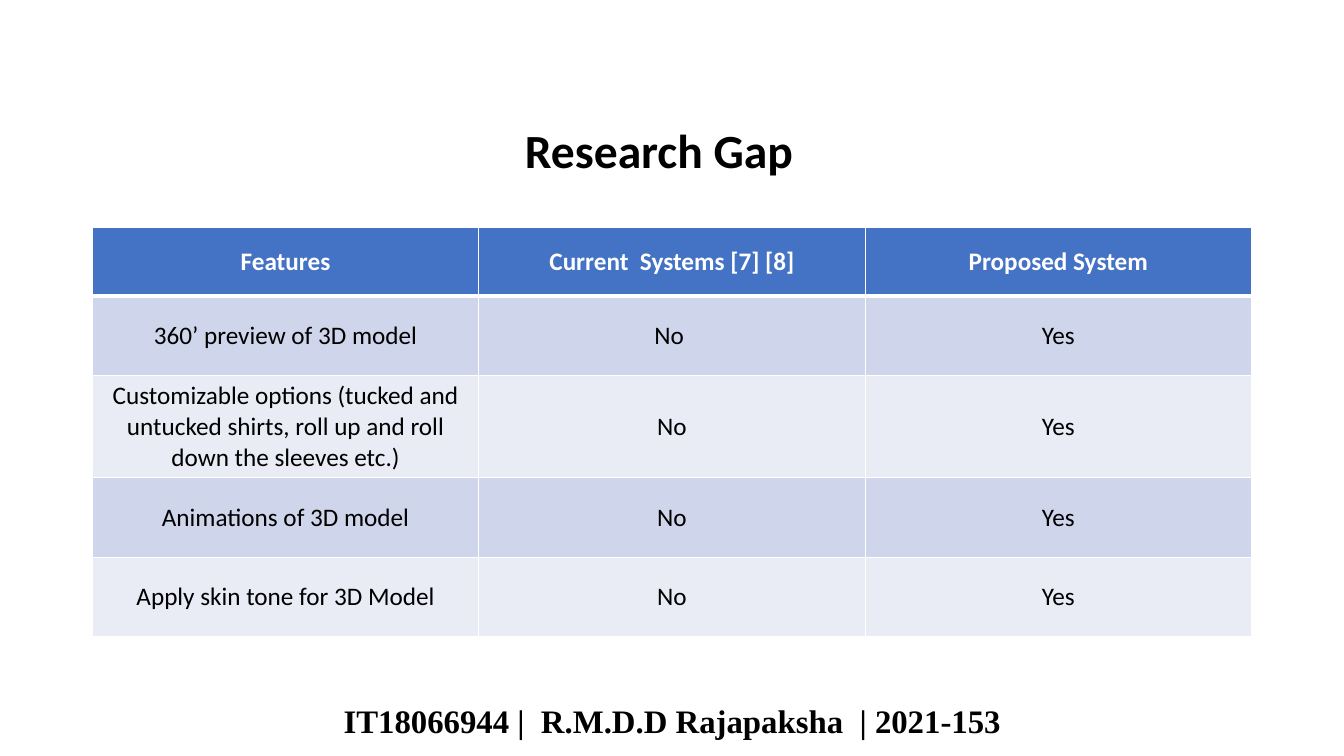
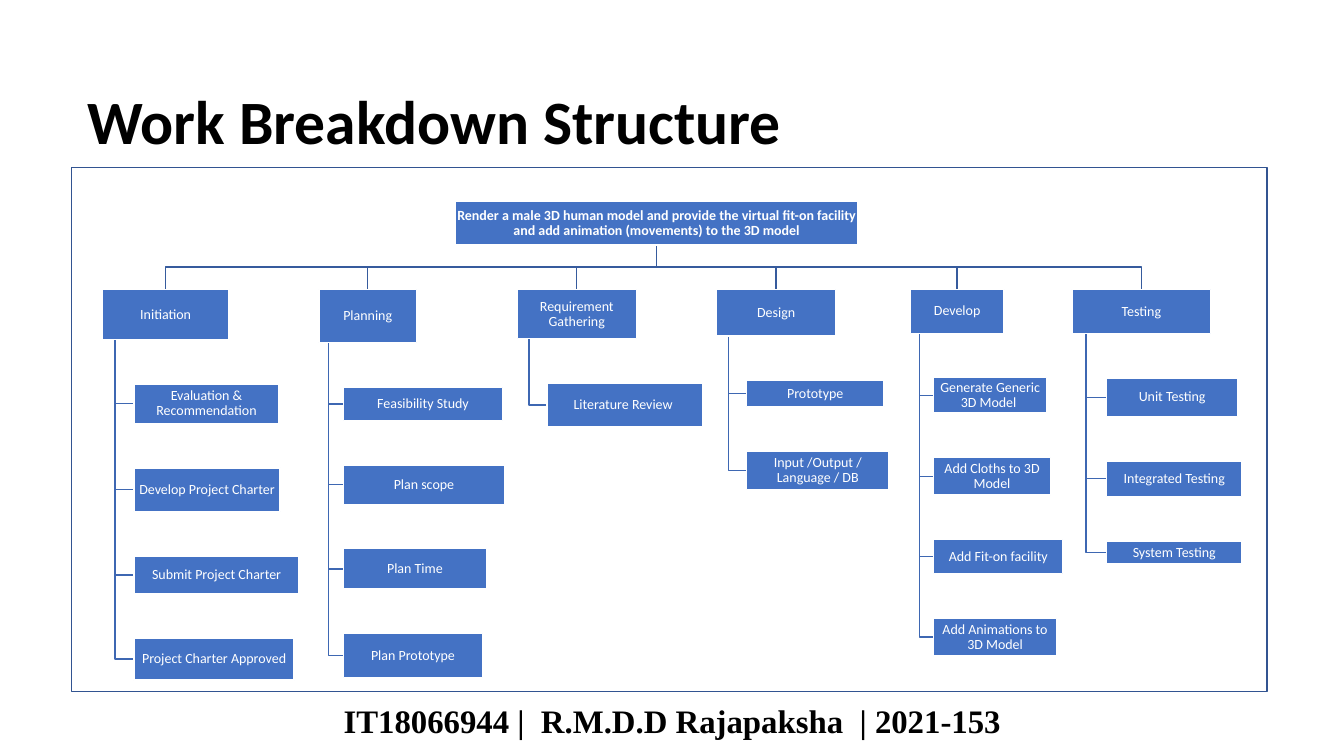
from pptx import Presentation
from pptx.dml.color import RGBColor
from pptx.enum.shapes import MSO_SHAPE
from pptx.enum.text import MSO_ANCHOR, PP_ALIGN
from pptx.oxml import parse_xml
from pptx.oxml.ns import nsdecls
from pptx.util import Pt

BLACK = RGBColor(0x00, 0x00, 0x00)
WHITE = RGBColor(0xFF, 0xFF, 0xFF)
BLUE = RGBColor(0x44, 0x72, 0xC4)
NAVY = RGBColor(0x32, 0x54, 0x91)
TRUNK = RGBColor(0x36, 0x5B, 0x9D)
TWIG = RGBColor(0x3E, 0x67, 0xB2)
BANDS = [RGBColor(0xCF, 0xD5, 0xEA), RGBColor(0xE9, 0xEB, 0xF5)]

WIDE, HIGH = 960, 540
GAP = 31.7  # vertical gap between levels and boxes of the tree
FOOT = "IT18066944 |  R.M.D.D Rajapaksha  | 2021-153"

ROWS = [
    ("Features", "Current  Systems [7] [8]", "Proposed System"),
    ("360’ preview of 3D model", "No ", "Yes"),
    ("Customizable options (tucked and untucked shirts, roll up and roll "
     "down the sleeves etc.)", "No", "Yes"),
    ("Animations of 3D model", "No", "Yes"),
    ("Apply skin tone for 3D Model", "No", "Yes"),
]
TALL = [48.8, 56.9, 73, 56.9, 56.9]

ROOT = ("Render a male 3D human model and provide the virtual fit-on facility "
        "and add animation (movements) to the 3D model")
# Each branch: left offset, head, then its tasks; a box is text, width, height
TREE = [
    (21.9, ("Initiation", 90.7, 36), [
        ("Evaluation & Recommendation", 103.7, 28.1),
        ("Develop Project Charter", 104.4, 31.4),
        ("Submit Project Charter", 118.1, 26.6),
        ("Project Charter Approved", 114.5, 30.2)]),
    (176.7, ("Planning", 69.8, 38.2), [
        ("Feasibility Study", 113.8, 23.8),
        ("Plan scope", 115.2, 28.1),
        ("Plan Time", 102.2, 28.8),
        ("Plan Prototype", 99.4, 31.7)]),
    (318.4, ("Requirement Gathering", 85, 35.3), [
        ("Literature Review ", 110.9, 31)]),
    (460.8, ("Design", 85, 33.2), [
        ("Prototype", 98.4, 19),
        ("Input /Output / Language / DB", 102, 27.4)]),
    (599.1, ("Develop", 67, 31.4), [
        ("Generate Generic 3D Model ", 80.6, 25.2),
        ("Add Cloths to 3D Model", 83.3, 27),
        ("Add Fit-on facility", 92.2, 24.5),
        ("Add Animations to 3D Model", 87.6, 27)]),
    (714.6, ("Testing", 99.2, 31.7), [
        ("Unit Testing", 93.6, 27.4),
        ("Integrated Testing", 96.5, 25.5),
        ("System Testing", 96.5, 16.6)]),
]


def write(frame, text, size=18, font="Calibri", color=BLACK, bold=False,
          align=PP_ALIGN.LEFT, space=1.0):
    frame.word_wrap = True
    para = frame.paragraphs[0]
    para.alignment, para.line_spacing = align, space
    run = para.add_run()
    run.text = text
    run.font.size, run.font.name = Pt(size), font
    run.font.bold, run.font.color.rgb = bold, color


def label(slide, text, x, y, w, h, **style):
    box = slide.shapes.add_textbox(Pt(x), Pt(y), Pt(w), Pt(h))
    write(box.text_frame, text, **style)


def title(slide, text, x, y, w, h, size, space):
    label(slide, text, x, y, w, h, size=size, bold=True, space=space)


def footer(slide):
    label(slide, FOOT, 0, 500.4, WIDE, 32.4, size=23.4, bold=True,
          font="Times New Roman", align=PP_ALIGN.CENTER, space=0.9)


def rect(slide, x, y, w, h, fill, edge):
    box = slide.shapes.add_shape(MSO_SHAPE.RECTANGLE, Pt(x), Pt(y), Pt(w), Pt(h))
    box.shadow.inherit = False
    box.fill.solid()
    box.fill.fore_color.rgb = fill
    box.line.color.rgb, box.line.width = edge, Pt(1)
    return box


def node(slide, x, y, item, bold=False):
    text, w, h = item
    frame = rect(slide, x, y, w, h, BLUE, WHITE).text_frame
    frame.margin_left = frame.margin_right = Pt(0.5)
    frame.margin_top = frame.margin_bottom = Pt(0.5)
    frame.vertical_anchor = MSO_ANCHOR.MIDDLE
    write(frame, text, size=10, color=WHITE, bold=bold,
          align=PP_ALIGN.CENTER, space=0.9)


def bend(slide, color, *spots):
    """Draw an open bent line through the spots."""
    first, *rest = [(Pt(x), Pt(y)) for x, y in spots]
    build = slide.shapes.build_freeform(*first)
    build.add_line_segments(rest, close=False)
    wire = build.convert_to_shape()
    wire.shadow.inherit = False
    wire.fill.background()
    wire.line.color.rgb, wire.line.width = color, Pt(1)


def border(cell, base):
    props = cell._tc.get_or_add_tcPr()
    for side, width in (("L", 1), ("R", 1), ("T", 1), ("B", base)):
        props.append(parse_xml(
            f'<a:ln{side} {nsdecls("a")} w="{Pt(width)}"><a:solidFill>'
            f'<a:srgbClr val="{WHITE}"/></a:solidFill></a:ln{side}>'))


def grid(slide, x, y, w):
    count = len(ROWS[0])
    table = slide.shapes.add_table(
        len(ROWS), count, Pt(x), Pt(y), Pt(w), Pt(sum(TALL))).table
    for col in table.columns:
        col.width = Pt(w / count)
    for r, row in enumerate(ROWS):
        table.rows[r].height = Pt(TALL[r])
        head = r == 0
        for c, text in enumerate(row):
            cell = table.cell(r, c)
            # Header rule is thicker; borders go before the fill
            border(cell, 3 if head else 1)
            cell.fill.solid()
            cell.fill.fore_color.rgb = BLUE if head else BANDS[(r - 1) % 2]
            cell.vertical_anchor = MSO_ANCHOR.MIDDLE
            write(cell.text_frame, text, color=WHITE if head else BLACK,
                  bold=head, align=PP_ALIGN.CENTER)


def branch(slide, x, y, item, tasks):
    """Draw a head with its tasks below."""
    wide, tall = item[1:]
    spine, left = x + wide * 0.1, x + wide * 0.25
    foot = y + tall
    top = foot + GAP
    for task in tasks:
        mid = top + task[2] / 2
        bend(slide, TWIG, (spine, foot), (spine, mid), (left, mid))
        node(slide, left, top, task)
        top += task[2] + GAP
    node(slide, x, y, item)


def tree(slide, x, y, w, h):
    rect(slide, x, y, w, h, WHITE, NAVY)
    left, top, wide, tall = x + 273.8, y + 24.5, 288, 31
    mid, foot = left + wide / 2, top + tall
    bus, head = foot + GAP / 2, foot + GAP
    # Branches hanging from the root
    for off, item, tasks in TREE:
        stop = x + off + item[1] / 2
        bend(slide, TRUNK, (mid, foot), (mid, bus), (stop, bus), (stop, head))
        branch(slide, x + off, head, item, tasks)
    node(slide, left, top, (ROOT, wide, tall), bold=True)


def main():
    deck = Presentation()
    deck.slide_width, deck.slide_height = Pt(WIDE), Pt(HIGH)
    blank = deck.slide_layouts[6]

    # Research gap
    slide = deck.slides.add_slide(blank)
    title(slide, "Research Gap", 367.9, 90.7, 208, 50.4, size=34, space=0.8)
    grid(slide, 66, 162.6, 828)
    footer(slide)

    # Work breakdown
    slide = deck.slides.add_slide(blank)
    title(slide, "Work Breakdown Structure", 55.2, 61.5, 828, 104.4,
          size=44, space=0.9)
    tree(slide, 51.1, 119.5, 853.9, 374.4)
    footer(slide)

    deck.save("out.pptx")


if __name__ == "__main__":
    main()
